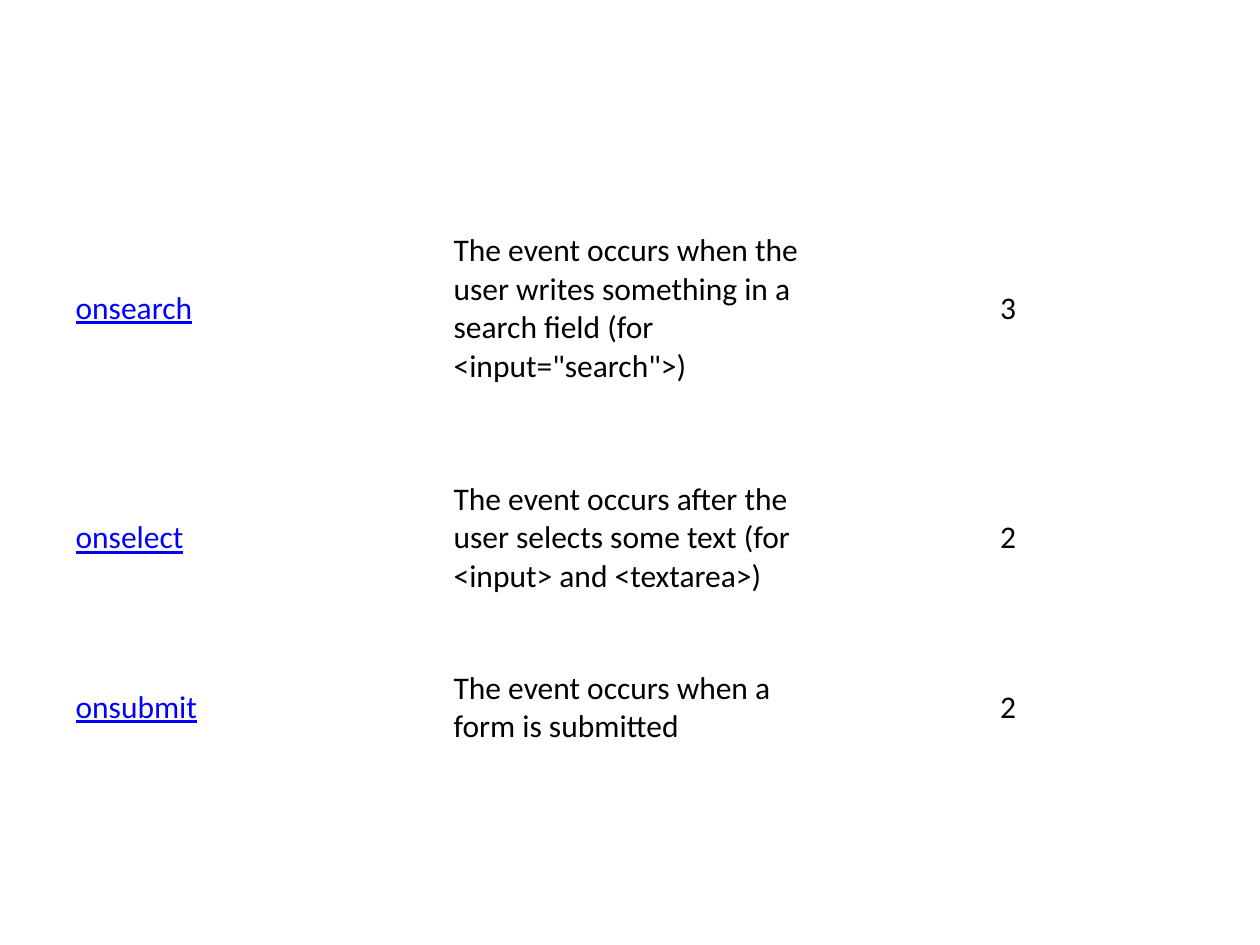
from dataclasses import dataclass

from pptx import Presentation
from pptx.dml.color import RGBColor
from pptx.enum.text import MSO_ANCHOR, PP_ALIGN
from pptx.table import _Cell
from pptx.util import Inches, Pt

COLORS = {"text": "000000", "event": "0000FF"}
COLUMN_WIDTH = 3


@dataclass
class Event:
    name: str
    description: str
    level: str
    height: float


EVENTS = [
    Event(
        "onsearch",
        'The event occurs when the user writes something in a search field (for <input="search">)',
        "3",
        2.06,
    ),
    Event(
        "onselect",
        "The event occurs after the user selects some text (for <input> and <textarea>)",
        "2",
        1.58,
    ),
    Event("onsubmit", "The event occurs when a form is submitted", "2", 1.11),
]


def fill_cell(
    cell: _Cell,
    text: str,
    color: str = "text",
    underline: bool = False,
    align: PP_ALIGN = PP_ALIGN.LEFT,
) -> None:
    cell.fill.background()
    cell.vertical_anchor = MSO_ANCHOR.MIDDLE
    cell.text_frame.text = text
    para = cell.text_frame.paragraphs[0]
    para.alignment = align
    font = para.runs[0].font
    font.name = "Calibri"
    font.size = Pt(18)
    font.bold = False
    font.underline = underline
    font.color.rgb = RGBColor.from_string(COLORS[color])


def main() -> None:
    deck = Presentation()
    deck.slide_width = Inches(10)
    deck.slide_height = Inches(7.5)
    page = deck.slides.add_slide(deck.slide_layouts[6])
    table = page.shapes.add_table(
        len(EVENTS),
        3,
        Inches(0.5),
        Inches(1.42),
        Inches(3 * COLUMN_WIDTH),
        Inches(sum(event.height for event in EVENTS)),
    ).table
    table.first_row = False
    table.horz_banding = False
    for column in table.columns:
        column.width = Inches(COLUMN_WIDTH)
    for row, event in zip(table.rows, EVENTS):
        row.height = Inches(event.height)
        name, description, level = row.cells
        fill_cell(name, event.name, color="event", underline=True)
        fill_cell(description, event.description)
        fill_cell(level, event.level, align=PP_ALIGN.CENTER)
    deck.save("out.pptx")


if __name__ == "__main__":
    main()
